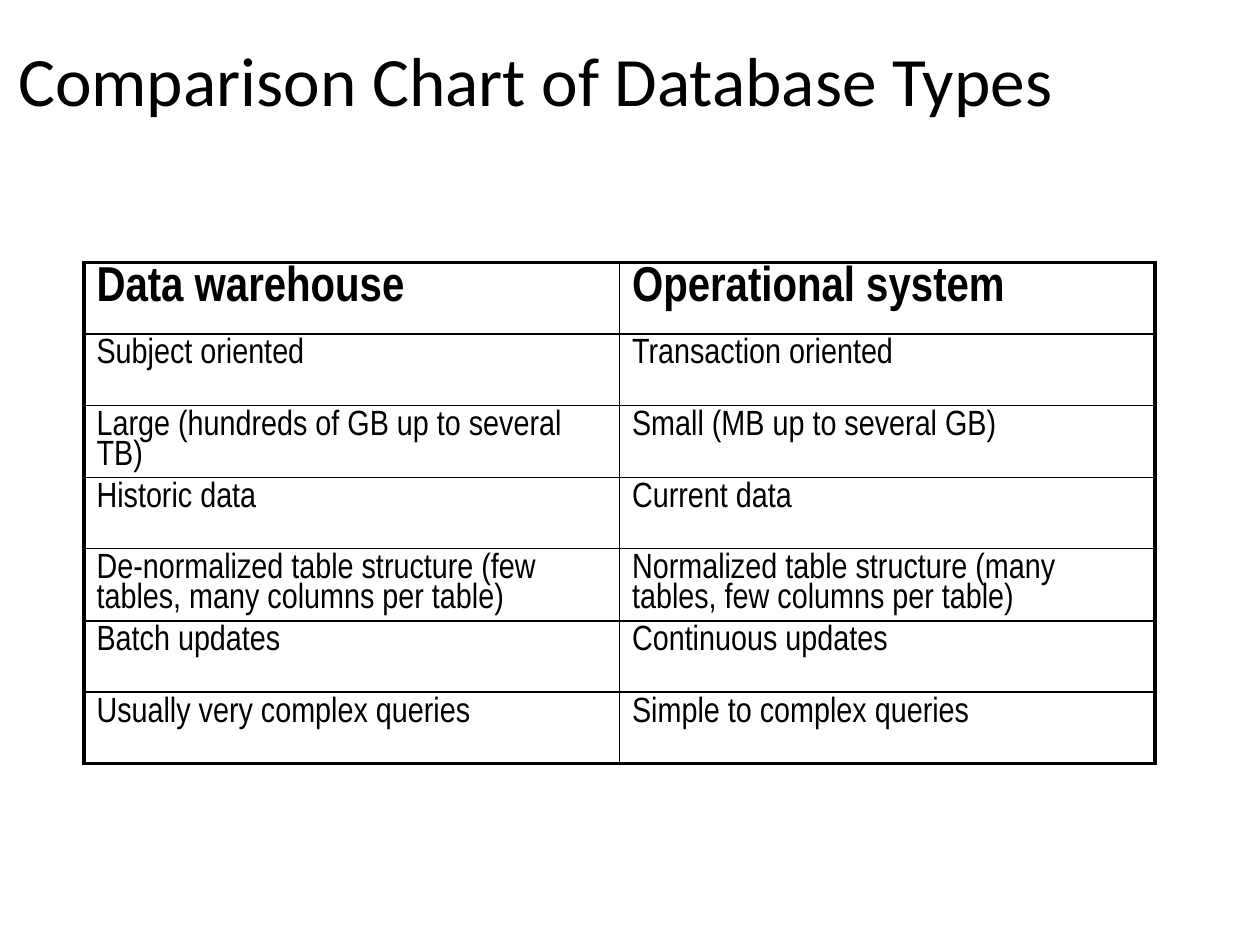
from lxml import etree
from pptx import Presentation
from pptx.dml.color import RGBColor
from pptx.enum.text import MSO_ANCHOR, MSO_AUTO_SIZE, PP_ALIGN
from pptx.oxml.ns import qn
from pptx.util import Pt

MIDDLE = MSO_ANCHOR.MIDDLE
NO_FIT = MSO_AUTO_SIZE.NONE
CENTER = PP_ALIGN.CENTER

TITLE = "Comparison Chart of Database Types"
ROWS = [
    ("Data warehouse", "Operational system"),
    ("Subject oriented", "Transaction oriented"),
    ("Large (hundreds of GB up to several TB)", "Small (MB up to several GB)"),
    ("Historic data", "Current data"),
    ("De-normalized table structure (few tables, many columns per table)",
     "Normalized table structure (many tables, few columns per table)"),
    ("Batch updates", "Continuous updates"),
    ("Usually very complex queries", "Simple to complex queries"),
]
COLORS = {"ink": "000000"}
TITLE_FONT = {"name": "Calibri", "size": Pt(39.6), "bold": False}
HEAD_FONT = {"name": "Arial Narrow", "size": Pt(28), "bold": True}
BODY_FONT = {"name": "Arial Narrow", "size": Pt(20), "bold": False}
LEFT, TOP, COL_W, ROW_H = 48, 150, 306, 40.8
OUTER, INNER = Pt(2.25), Pt(1)


def format_font(font, values):
    for name, value in values.items():
        setattr(font, name, value)
    font.color.rgb = RGBColor.from_string(COLORS["ink"])


def add_border(cell, side, width):
    ln = etree.SubElement(cell._tc.get_or_add_tcPr(), qn("a:ln" + side), w=str(width))
    fill = etree.SubElement(ln, qn("a:solidFill"))
    etree.SubElement(fill, qn("a:srgbClr"), val=COLORS["ink"])


def add_title(s):
    sp = s.shapes.title
    sp.left, sp.top, sp.width, sp.height = Pt(0), Pt(0), Pt(612), Pt(90)
    tf = sp.text_frame
    tf.text = TITLE
    tf.auto_size = NO_FIT
    tf.vertical_anchor = MIDDLE
    p = tf.paragraphs[0]
    p.alignment = CENTER
    format_font(p.runs[0].font, TITLE_FONT)


def add_comparison(s):
    n_rows, n_cols = len(ROWS), len(ROWS[0])
    table = s.shapes.add_table(n_rows, n_cols, Pt(LEFT), Pt(TOP),
                               Pt(COL_W * n_cols), Pt(ROW_H * n_rows)).table
    table.first_row = table.horz_banding = False
    for col in table.columns:
        col.width = Pt(COL_W)
    for i, texts in enumerate(ROWS):
        table.rows[i].height = Pt(ROW_H)
        for j, text in enumerate(texts):
            cell = table.cell(i, j)
            edges = {"L": j == 0, "R": j == n_cols - 1,
                     "T": i == 0, "B": i == n_rows - 1}
            for side, is_outer in edges.items():
                add_border(cell, side, OUTER if is_outer else INNER)
            cell.fill.background()
            cell.text = text
            p = cell.text_frame.paragraphs[0]
            p.line_spacing = 0.9
            format_font(p.runs[0].font, BODY_FONT if i else HEAD_FONT)


def main():
    prs = Presentation()
    prs.slide_width, prs.slide_height = Pt(720), Pt(540)
    s = prs.slides.add_slide(prs.slide_layouts[5])
    add_title(s)
    add_comparison(s)
    prs.save("out.pptx")


if __name__ == "__main__":
    main()
